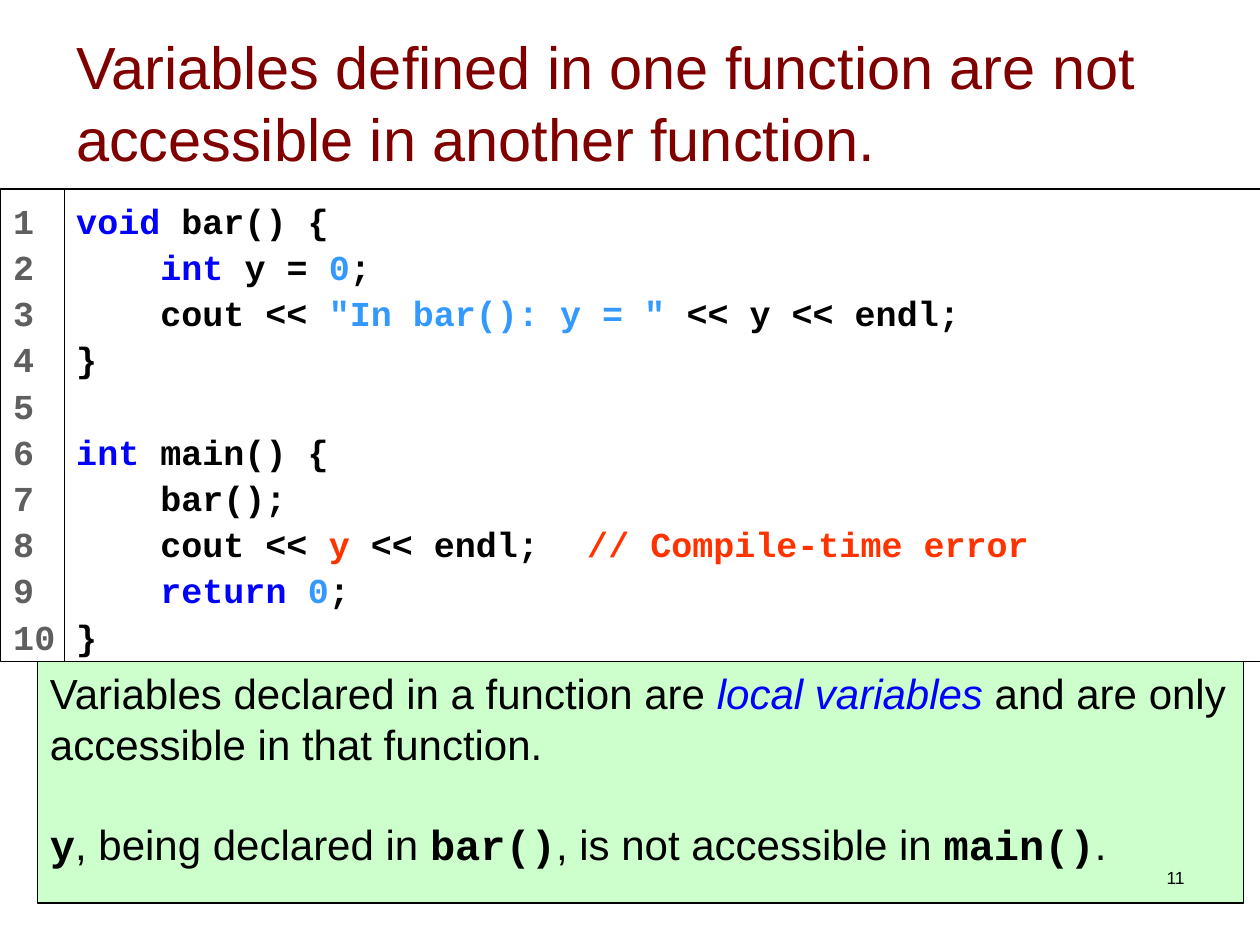
from dataclasses import dataclass
from typing import Optional

from lxml import etree
from pptx import Presentation
from pptx.dml.color import RGBColor
from pptx.enum.shapes import MSO_SHAPE as SHAPE
from pptx.enum.text import MSO_ANCHOR as ANCHOR, PP_ALIGN as ALIGN
from pptx.oxml.ns import qn
from pptx.util import Pt

SANS, MONO = "Arial", "Courier New"
BLACK, BLUE, SKY, RED = "000000", "0000FF", "3399FF", "FF3300"
GREY, MAROON, WHITE, MINT = "5F5F5F", "800000", "FFFFFF", "CCFFCC"
COMMENT_TAB = 292


@dataclass
class Run:
    text: str
    color: str = BLACK
    font: str = SANS
    bold: bool = False
    italic: bool = False


@dataclass
class Para:
    runs: list[Run]
    lines_before: int = 0


@dataclass
class Box:
    left: float
    top: float
    width: float
    height: float
    size: float
    pitch: float
    paras: list[Para]
    fill: Optional[str] = None
    anchor: ANCHOR = ANCHOR.TOP
    align: ALIGN = ALIGN.LEFT
    right_inset: float = 7.2
    tab: Optional[float] = None


def rgb(color: str) -> RGBColor:
    return RGBColor.from_string(color)


def code(text: str, color: str = BLACK) -> Run:
    return Run(text, color, MONO, bold=True)


def add_tab(p, position: float) -> None:
    tabs = etree.SubElement(p._p.get_or_add_pPr(), qn("a:tabLst"))
    etree.SubElement(tabs, qn("a:tab"), pos=str(Pt(position)), algn="l")


def draw_box(s, box: Box) -> None:
    frame = [Pt(v) for v in (box.left, box.top, box.width, box.height)]
    if box.fill:
        sp = s.shapes.add_shape(SHAPE.RECTANGLE, *frame)
        sp.shadow.inherit = False
        sp.fill.solid()
        sp.fill.fore_color.rgb = rgb(box.fill)
        sp.line.color.rgb = rgb(BLACK)
        sp.line.width = Pt(0.75)
    else:
        sp = s.shapes.add_textbox(*frame)
    tf = sp.text_frame
    layout = dict(word_wrap=True, vertical_anchor=box.anchor,
                  margin_left=Pt(7.2), margin_right=Pt(box.right_inset),
                  margin_top=Pt(3.6), margin_bottom=Pt(3.6))
    for name, value in layout.items():
        setattr(tf, name, value)
    for i, para in enumerate(box.paras):
        p = tf.add_paragraph() if i else tf.paragraphs[0]
        spacing = dict(alignment=box.align, line_spacing=Pt(box.pitch),
                       space_before=Pt(para.lines_before * box.pitch))
        for name, value in spacing.items():
            setattr(p, name, value)
        if box.tab:
            add_tab(p, box.tab)
        for run in para.runs:
            r = p.add_run()
            r.text = run.text
            style = dict(name=run.font, size=Pt(box.size), bold=run.bold, italic=run.italic)
            for name, value in style.items():
                setattr(r.font, name, value)
            r.font.color.rgb = rgb(run.color)


# Text content
TITLE = [Para([Run("Variables defined in one function are not accessible in another function.", MAROON)])]
CODE = [
    Para([code("void", BLUE), code(" bar() {")]),
    Para([code("    "), code("int", BLUE), code(" y = "), code("0", SKY), code(";")]),
    Para([code("    cout << "), code('"In bar(): y = " ', SKY), code("<< y << endl;")]),
    Para([code("}")]),
    Para([code("int", BLUE), code(" main() {")], lines_before=1),
    Para([code("    bar();")]),
    Para([code("    cout << "), code("y", RED), code(" << endl;\t"), code("// Compile-time error", RED)]),
    Para([code("    "), code("return ", BLUE), code("0", SKY), code(";")]),
    Para([code("}")]),
]
LINE_NUMBERS = [Para([code(str(n), GREY)]) for n in range(1, 11)]
NOTE = [
    Para([Run("Variables declared in a function are "), Run("local variables", BLUE, italic=True),
          Run(" and are only accessible in that function.")]),
    Para([code("y"), Run(", being declared in "), code("bar()"),
          Run(", is not accessible in "), code("main()"), Run(".")], lines_before=1),
]
PAGE_NUMBER = [Para([Run("11")])]

# Boxes from back to front
BOXES = [
    Box(36.5, 13, 648, 90, 34, 40.8, TITLE, anchor=ANCHOR.MIDDLE),
    Box(36.5, 108, 684, 270, 20, 26.4, CODE, WHITE, tab=COMMENT_TAB),
    Box(0.5, 108, 36.5, 270, 20, 26.4, LINE_NUMBERS, WHITE, right_inset=0),
    Box(21.5, 378, 689, 138, 24, 28.8, NOTE, MINT),
    Box(516, 492, 168, 36, 10, 12, PAGE_NUMBER, align=ALIGN.RIGHT),
]


def main() -> None:
    prs = Presentation()
    prs.slide_width, prs.slide_height = Pt(720), Pt(540)
    s = prs.slides.add_slide(prs.slide_layouts[6])
    for box in BOXES:
        draw_box(s, box)
    prs.save("out.pptx")


if __name__ == "__main__":
    main()
